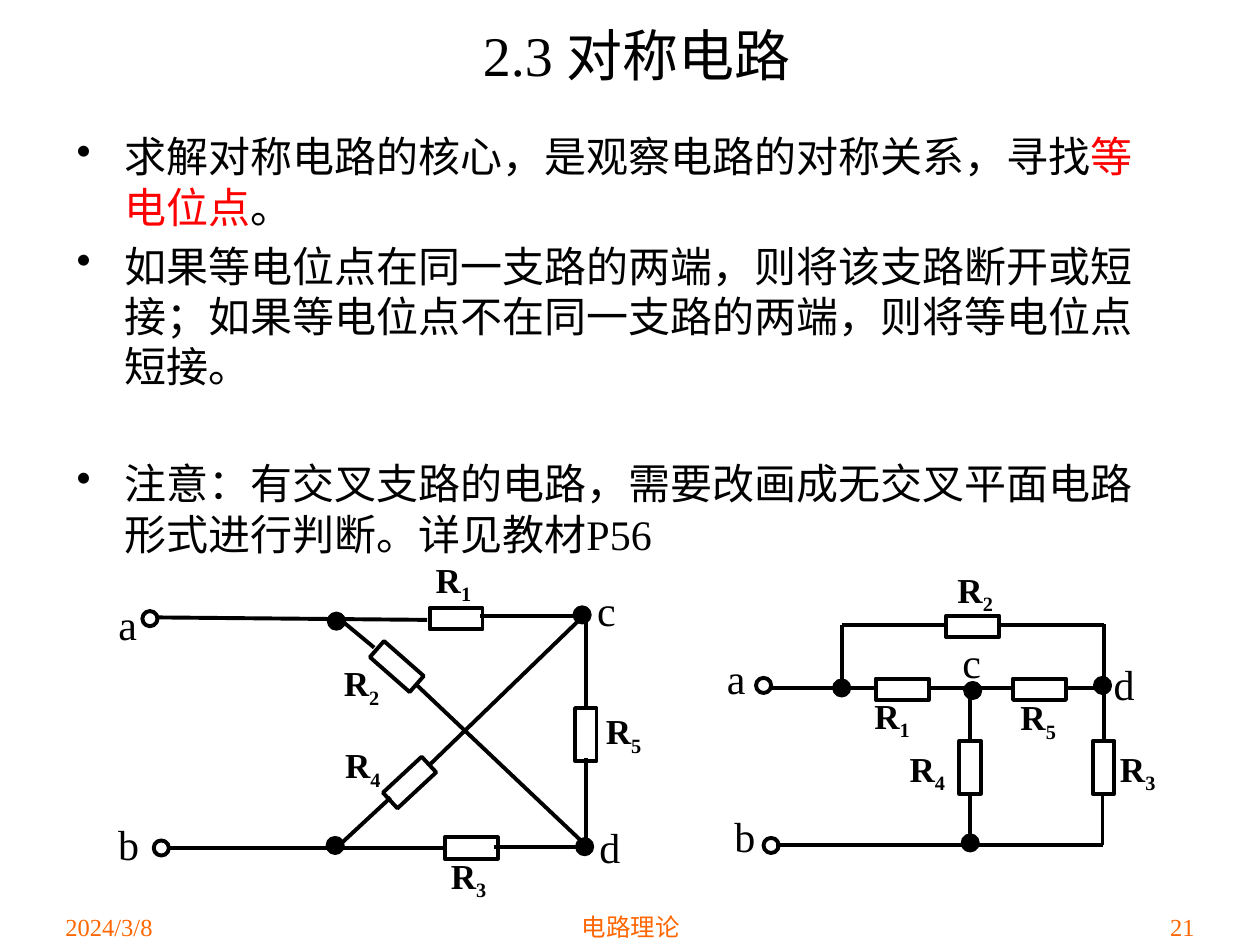
from dataclasses import dataclass

from lxml.etree import SubElement as Sub
from pptx import Presentation
from pptx.dml.color import RGBColor
from pptx.enum.shapes import MSO_CONNECTOR as Conn, MSO_SHAPE as Form
from pptx.enum.text import MSO_ANCHOR as Anchor, PP_ALIGN as Align
from pptx.oxml.ns import qn
from pptx.util import Inches, Pt

FONT = "Times New Roman"
COLOR = {"ink": "000000", "key": "FF0000", "foot": "FF6600"}
LINE = Pt(2.25)
RES_W, RES_H = 0.17, 0.42
NODE = 0.12


@dataclass
class Res:
    """Resistor with its centre, turn, and the corner of its label."""
    num: int
    x: float
    y: float
    turn: float
    tag: tuple[float, float]


@dataclass
class Circuit:
    loads: list[Res]
    wires: list[tuple[float, float, float, float]]
    dots: list[tuple[float, float]]
    ends: list[tuple[float, float]]
    names: dict[str, tuple[float, float]]


CROSSED = Circuit(
    loads=[
        Res(1, 3.62, 4.91, 270, (3.36, 4.38)),
        Res(2, 3.15, 5.29, 311.3, (2.63, 5.2)),
        Res(3, 3.74, 6.73, 270, (3.48, 6.73)),
        Res(4, 3.25, 6.21, 227.1, (2.64, 5.85)),
        Res(5, 4.65, 5.83, 0, (4.71, 5.58)),
    ],
    wires=[
        (1.24, 4.9, 3.39, 4.92), (3.81, 4.89, 4.64, 4.89),
        (2.68, 4.9, 2.97, 5.14), (3.3, 5.43, 4.63, 6.69),
        (2.68, 6.72, 3.1, 6.33), (3.41, 6.07, 4.65, 4.87),
        (4.65, 4.86, 4.65, 5.63), (4.65, 6.02, 4.65, 6.71),
        (1.33, 6.73, 3.52, 6.73), (3.92, 6.72, 4.67, 6.72),
    ],
    dots=[(2.67, 4.93), (2.66, 6.71), (4.62, 4.88), (4.64, 6.72)],
    ends=[(1.19, 4.91), (1.28, 6.73)],
    names={"a": (0.84, 4.7), "b": (0.84, 6.45),
           "c": (4.64, 4.59), "d": (4.66, 6.47)},
)

PLANAR = Circuit(
    loads=[
        Res(1, 7.16, 5.47, 270, (6.84, 5.46)),
        Res(2, 7.72, 4.97, 270, (7.5, 4.46)),
        Res(3, 8.76, 6.09, 0, (8.79, 5.88)),
        Res(4, 7.7, 6.09, 0, (7.12, 5.88)),
        Res(5, 8.25, 5.47, 270, (8, 5.47)),
    ],
    wires=[
        (6.11, 5.46, 6.95, 5.46), (7.36, 5.46, 8.03, 5.46),
        (8.45, 5.46, 8.78, 5.46), (6.68, 5.46, 6.68, 4.96),
        (6.68, 4.96, 7.51, 4.96), (7.93, 4.96, 8.76, 4.96),
        (8.76, 4.95, 8.76, 5.87), (8.75, 6.3, 8.75, 6.71),
        (7.7, 5.46, 7.7, 5.88), (7.7, 6.3, 7.7, 6.71),
        (6.16, 6.71, 8.75, 6.71),
    ],
    dots=[(6.68, 5.46), (7.72, 5.48), (7.7, 6.69), (8.75, 5.44)],
    ends=[(6.06, 5.44), (6.12, 6.71)],
    names={"a": (5.67, 5.13), "b": (5.73, 6.38),
           "c": (7.54, 5), "d": (8.74, 5.18)},
)

# Each point: space before, then its runs as (text, colour)
POINTS = [
    (0, [("求解对称电路的核心，是观察电路的对称关系，寻找", "ink"),
         ("等电位点", "key"), ("。", "ink")]),
    (4.8, [("如果等电位点在同一支路的两端，则将该支路断开或短接；"
            "如果等电位点不在同一支路的两端，则将等电位点短接。", "ink")]),
    (38, [("注意：有交叉支路的电路，需要改画成无交叉平面电路"
           "形式进行判断。详见教材P56", "ink")]),
]

FOOT = [
    ("2024/3/8", 0.42, 2.08, Align.LEFT),
    ("电路理论", 3.42, 3.17, Align.CENTER),
    ("21", 7.5, 2.08, Align.RIGHT),
]


def rgb(name: str) -> RGBColor:
    return RGBColor.from_string(COLOR[name])


def style(run, size: float, color: str = "ink", bold: bool = False) -> None:
    font = run.font
    font.name, font.size, font.bold = FONT, Pt(size), bold
    font.color.rgb = rgb(color)


def add_box(slide, x: float, y: float, w: float, h: float, wrap: bool = True):
    frame = slide.shapes.add_textbox(
        Inches(x), Inches(y), Inches(w), Inches(h)).text_frame
    frame.word_wrap = wrap
    return frame


def add_text(slide, text: str, x: float, y: float, w: float, h: float,
             size: float, color: str = "ink", align=Align.LEFT,
             wrap: bool = True):
    frame = add_box(slide, x, y, w, h, wrap)
    frame.text = text
    para = frame.paragraphs[0]
    para.alignment = align
    style(para.runs[0], size, color)
    return frame


def add_points(slide) -> None:
    frame = add_box(slide, 0.51, 0.99, 8.82, 5.12)
    for i, (gap, runs) in enumerate(POINTS):
        para = frame.add_paragraph() if i else frame.paragraphs[0]
        props = para._p.get_or_add_pPr()
        props.set("marL", str(Inches(0.38)))
        props.set("indent", str(Inches(-0.38)))
        Sub(props, qn("a:buChar")).set("char", "•")
        if gap:
            para.space_before = Pt(gap)
        for text, color in runs:
            run = para.add_run()
            run.text = text
            style(run, 24, color)


def add_form(slide, form, x: float, y: float, w: float, h: float,
             solid: bool = False):
    shape = slide.shapes.add_shape(
        form, Inches(x - w / 2), Inches(y - h / 2), Inches(w), Inches(h))
    shape.shadow.inherit = False
    if solid:
        shape.fill.solid()
        shape.fill.fore_color.rgb = rgb("ink")
    else:
        shape.fill.background()
    shape.line.color.rgb = rgb("ink")
    shape.line.width = LINE
    return shape


def add_wire(slide, x1: float, y1: float, x2: float, y2: float) -> None:
    wire = slide.shapes.add_connector(
        Conn.STRAIGHT, Inches(x1), Inches(y1), Inches(x2), Inches(y2))
    wire.line.color.rgb = rgb("ink")
    wire.line.width = LINE
    Sub(wire._element.spPr, qn("a:effectLst"))


def add_res(slide, res: Res) -> None:
    add_form(slide, Form.RECTANGLE, res.x, res.y, RES_W, RES_H).rotation = res.turn
    para = add_box(slide, *res.tag, 0.49, 0.43, wrap=False).paragraphs[0]
    for text in ("R", str(res.num)):
        run = para.add_run()
        run.text = text
        style(run, 20, bold=True)
    run.font._element.set("baseline", "-25000")


def add_circuit(slide, plan: Circuit) -> None:
    for res in plan.loads:
        add_res(slide, res)
    for wire in plan.wires:
        add_wire(slide, *wire)
    for spots, solid in ((plan.dots, True), (plan.ends, False)):
        for x, y in spots:
            add_form(slide, Form.OVAL, x, y, NODE, NODE, solid)
    for name, (x, y) in plan.names.items():
        width = 0.35 if name in "ac" else 0.37
        add_text(slide, name, x, y, width, 0.5, 24, wrap=False)


def main() -> None:
    deck = Presentation()
    deck.slide_width, deck.slide_height = Inches(10), Inches(7.5)
    slide = deck.slides.add_slide(deck.slide_layouts[6])

    # Title and points
    title = add_text(slide, "2.3 对称电路", 0.43, 0.18, 9.25, 0.5, 32,
                     align=Align.CENTER)
    title.vertical_anchor = Anchor.MIDDLE
    add_points(slide)

    # Circuits
    for plan in (PLANAR, CROSSED):
        add_circuit(slide, plan)

    # Footer
    for text, x, w, align in FOOT:
        add_text(slide, text, x, 7.19, w, 0.5, 14, "foot", align)

    deck.save("out.pptx")


if __name__ == "__main__":
    main()
